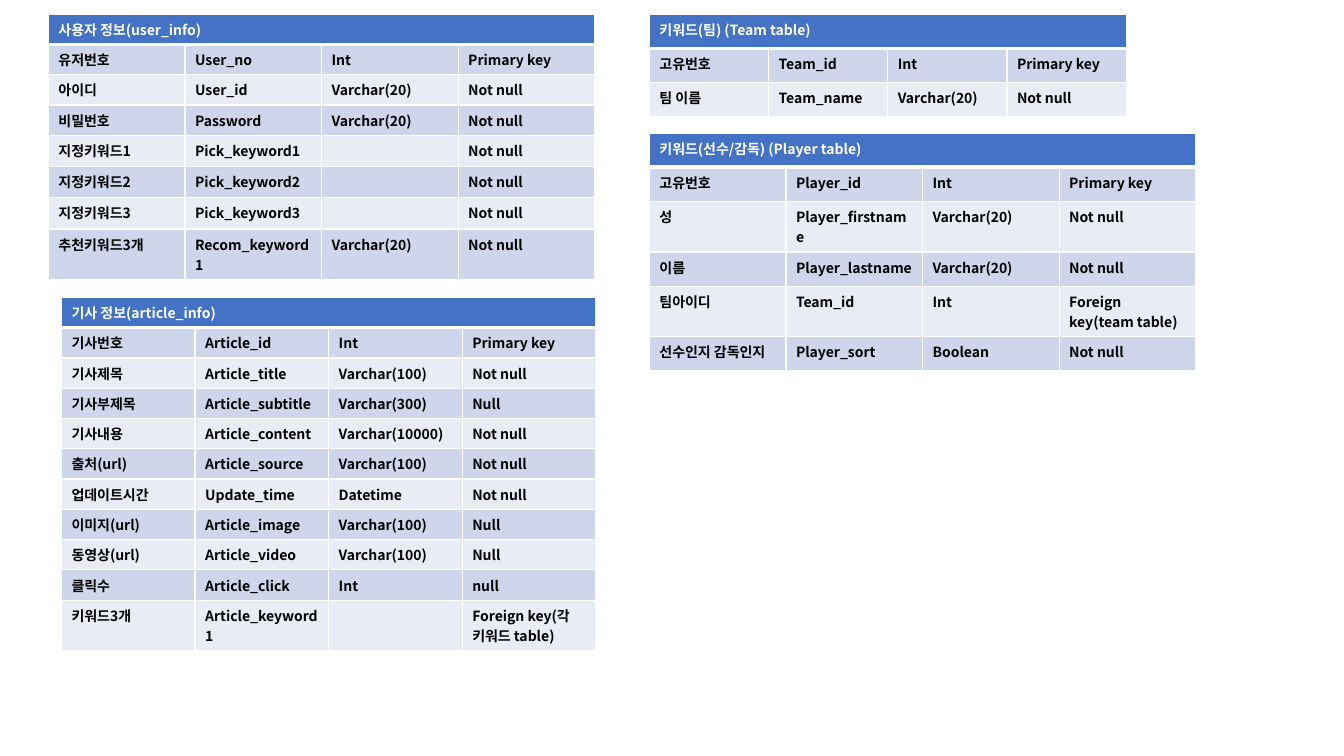
from dataclasses import dataclass

from lxml.etree import SubElement
from pptx import Presentation
from pptx.dml.color import RGBColor as Color
from pptx.oxml.ns import qn
from pptx.util import Inches, Pt


@dataclass(frozen=True)
class Theme:
    """Colours, type and line widths of the slide."""
    font: str = "Noto Sans CJK KR"
    size: int = 10
    header: str = "4472C4"
    bands: tuple = ("CFD5EA", "E9EBF5")
    light: str = "FFFFFF"
    dark: str = "000000"
    grid: int = 1
    header_rule: int = 3


THEME = Theme()

USER_FIELDS = [
    ("유저번호", "User_no", "Int", "Primary key"),
    ("아이디", "User_id", "Varchar(20)", "Not null"),
    ("비밀번호", "Password", "Varchar(20)", "Not null"),
    ("지정키워드1", "Pick_keyword1", "", "Not null"),
    ("지정키워드2", "Pick_keyword2", "", "Not null"),
    ("지정키워드3", "Pick_keyword3", "", "Not null"),
    ("추천키워드3개", "Recom_keyword1", "Varchar(20)", "Not null"),
]
TEAM_FIELDS = [
    ("고유번호", "Team_id", "Int", "Primary key"),
    ("팀 이름", "Team_name", "Varchar(20)", "Not null"),
]
PLAYER_FIELDS = [
    ("고유번호", "Player_id", "Int", "Primary key"),
    ("성", "Player_firstname", "Varchar(20)", "Not null"),
    ("이름", "Player_lastname", "Varchar(20)", "Not null"),
    ("팀아이디", "Team_id", "Int", "Foreign key(team table)"),
    ("선수인지 감독인지", "Player_sort", "Boolean", "Not null"),
]
ARTICLE_FIELDS = [
    ("기사번호", "Article_id", "Int", "Primary key"),
    ("기사제목", "Article_title", "Varchar(100)", "Not null"),
    ("기사부제목", "Article_subtitle", "Varchar(300)", "Null"),
    ("기사내용", "Article_content", "Varchar(10000)", "Not null"),
    ("출처(url)", "Article_source", "Varchar(100)", "Not null"),
    ("업데이트시간", "Update_time", "Datetime", "Not null"),
    ("이미지(url)", "Article_image", "Varchar(100)", "Null"),
    ("동영상(url)", "Article_video", "Varchar(100)", "Null"),
    ("클릭수", "Article_click", "Int", "null"),
    ("키워드3개", "Article_keyword1", "", "Foreign key(각 키워드 table)"),
]


def set_borders(cell, top, bottom):
    """Draw the four edges of a cell in the light colour."""
    properties = cell._tc.get_or_add_tcPr()
    edges = {"a:lnL": THEME.grid, "a:lnR": THEME.grid, "a:lnT": top, "a:lnB": bottom}
    for tag, width in edges.items():
        line = SubElement(properties, qn(tag), w=str(Pt(width)))
        fill = SubElement(line, qn("a:solidFill"))
        SubElement(fill, qn("a:srgbClr"), val=THEME.light)


def style_cell(cell, text, fill, color, top=THEME.grid, bottom=THEME.grid):
    """Fill a cell and write its bold text."""
    set_borders(cell, top, bottom)
    cell.fill.solid()
    cell.fill.fore_color.rgb = Color.from_string(fill)
    cell.text = text
    paragraph = cell.text_frame.paragraphs[0]
    font = paragraph.font
    font.name, font.size, font.bold = THEME.font, Pt(THEME.size), True
    font.color.rgb = Color.from_string(color)
    defaults = paragraph._p.pPr.find(qn("a:defRPr"))
    SubElement(defaults, qn("a:ea"), typeface=THEME.font)


def add_schema(slide, box, title, fields, row_heights):
    """Place a database table with a merged title row and banded fields."""
    left, top, width = (Inches(length) for length in box)
    columns = len(fields[0])
    height = Inches(sum(row_heights))
    table = slide.shapes.add_table(
        len(row_heights), columns, left, top, width, height).table
    for row, row_height in zip(table.rows, row_heights):
        row.height = Inches(row_height)
    table.cell(0, 0).merge(table.cell(0, columns - 1))
    for column in range(columns):
        style_cell(table.cell(0, column), "" if column else title, THEME.header,
                   THEME.light, bottom=THEME.header_rule)
    for index, field in enumerate(fields):
        rule = THEME.grid if index else THEME.header_rule
        for column, text in enumerate(field):
            style_cell(table.cell(index + 1, column), text,
                       THEME.bands[index % 2], THEME.dark, top=rule)


def build_schema_slide(presentation):
    """Lay out the four database tables on a blank slide."""
    slide = presentation.slides.add_slide(presentation.slide_layouts[6])
    add_schema(slide, (0.48, 0.14, 5.42), "사용자 정보(user_info)",
               USER_FIELDS, [0.27] * 4 + [0.31] * 3 + [0.4])
    add_schema(slide, (6.44, 0.14, 4.73), "키워드(팀) (Team table)",
               TEAM_FIELDS, [0.34] * 3)
    add_schema(slide, (6.44, 1.32, 5.42), "키워드(선수/감독) (Player table)",
               PLAYER_FIELDS, [0.34] * 4 + [0.44, 0.34])
    add_schema(slide, (0.61, 2.95, 5.3), "기사 정보(article_info)",
               ARTICLE_FIELDS, [0.28] * 10 + [0.35])


def main():
    """Build and save the presentation."""
    presentation = Presentation()
    presentation.slide_width = Inches(13.33)
    presentation.slide_height = Inches(7.5)
    build_schema_slide(presentation)
    presentation.save("out.pptx")


main()
